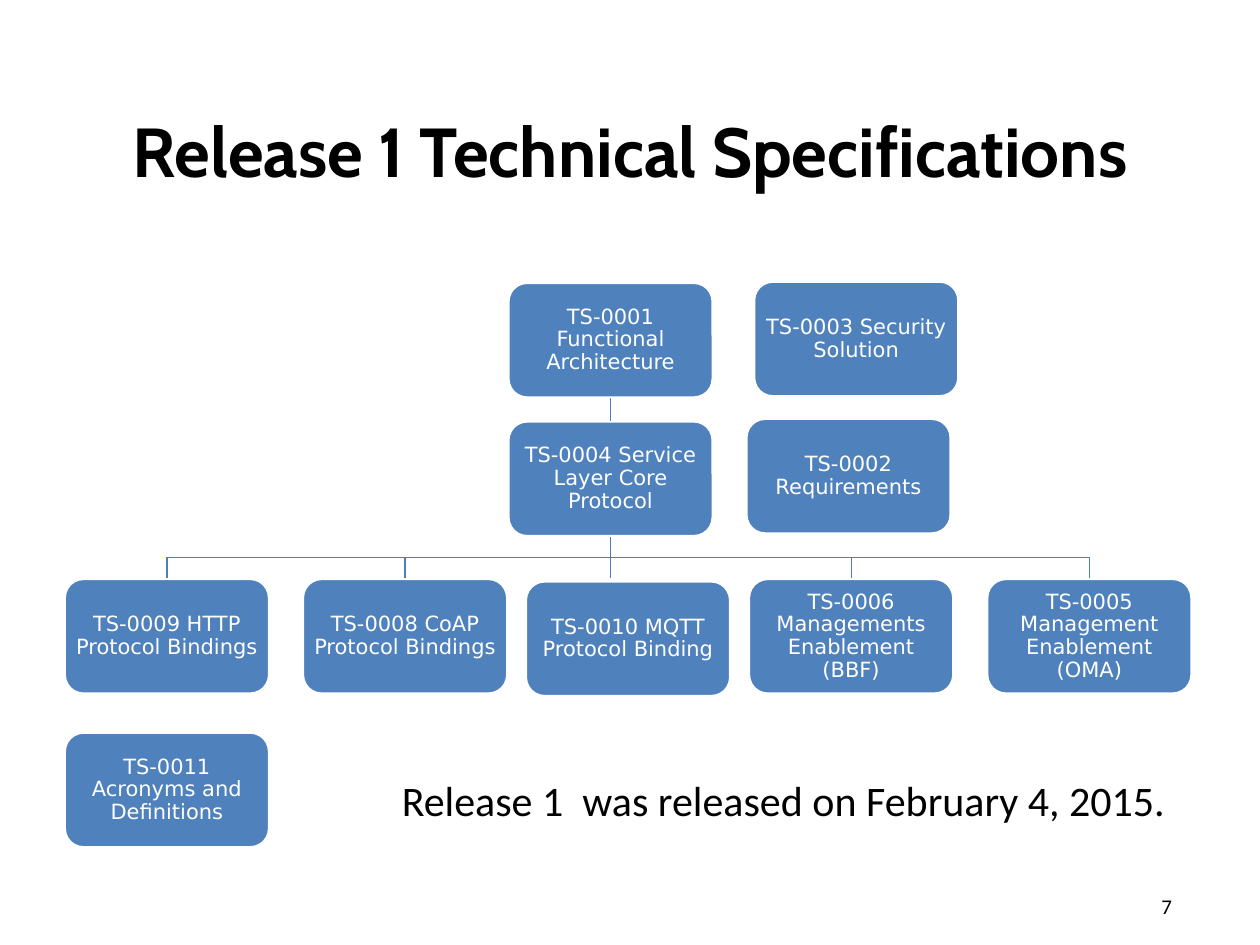
from dataclasses import dataclass

from lxml import etree
from pptx import Presentation
from pptx import util as u
from pptx.dml.color import RGBColor
from pptx.enum import shapes, text
from pptx.oxml import ns

Pt = u.Pt


@dataclass(frozen=True)
class Theme:
    black: RGBColor = RGBColor.from_string("000000")
    white: RGBColor = RGBColor.from_string("FFFFFF")
    box: RGBColor = RGBColor.from_string("4F81BD")
    line: RGBColor = RGBColor.from_string("4B7EBC")
    title_font: str = "Cabin"
    body_font: str = "Calibri"
    box_font: str = "DejaVu Sans"
    title_size: float = 39.6
    note_size: float = 24
    small_size: float = 12


@dataclass(frozen=True)
class Specification:
    label: str
    left: float
    top: float

    @property
    def center(self) -> float:
        return self.left + BOX_WIDTH / 2


THEME = Theme()
BOX_WIDTH, BOX_HEIGHT = 117.4, 66.2
COLUMNS = (36.7, 172.8, 290.2, 427.7, 563.8)
ROWS = (161.3, 240.5, 330.5, 418.3)

ARCHITECTURE = Specification("TS-0001 Functional Architecture", COLUMNS[2], ROWS[0])
CORE = Specification("TS-0004 Service Layer Core Protocol", COLUMNS[2], ROWS[1])
BINDINGS = (
    Specification("TS-0009 HTTP Protocol Bindings", COLUMNS[0], ROWS[2]),
    Specification("TS-0008 CoAP Protocol Bindings", COLUMNS[1], ROWS[2]),
    Specification("TS-0006 Managements Enablement (BBF)", COLUMNS[3], ROWS[2]),
    Specification("TS-0005 Management Enablement (OMA)", COLUMNS[4], ROWS[2]),
)
STANDALONE = (
    Specification("TS-0002 Requirements", 426.2, 239),
    Specification("TS-0003 Security Solution", 430.6, 160.6),
    Specification("TS-0011 Acronyms and Definitions", COLUMNS[0], ROWS[3]),
    Specification("TS-0010 MQTT Protocol Binding", 300.2, 331.9),
)


def apply(target, values: dict) -> None:
    for name, value in values.items():
        setattr(target, name, value)


def write(shape, content: str, font: dict, color: RGBColor, frame: dict, layout: dict) -> None:
    apply(shape.text_frame, frame)
    paragraph = shape.text_frame.paragraphs[0]
    run = paragraph.add_run()
    run.text = content
    apply(paragraph, layout)
    apply(run.font, font)
    run.font.color.rgb = color


def draw_title(slide, content: str) -> None:
    title = slide.shapes.title
    apply(title, dict(left=Pt(36), top=Pt(49), width=Pt(648), height=Pt(73.4)))
    write(title, content,
          dict(name=THEME.title_font, size=Pt(THEME.title_size), bold=True), THEME.black,
          dict(vertical_anchor=text.MSO_ANCHOR.MIDDLE, auto_size=text.MSO_AUTO_SIZE.NONE),
          dict(alignment=text.PP_ALIGN.CENTER))


def draw_box(slide, item: Specification) -> None:
    shape = slide.shapes.add_shape(shapes.MSO_SHAPE.ROUNDED_RECTANGLE, Pt(item.left),
                                   Pt(item.top), Pt(BOX_WIDTH), Pt(BOX_HEIGHT))
    shape.shadow.inherit = False
    shape.fill.solid()
    shape.fill.fore_color.rgb = THEME.box
    shape.line.color.rgb = THEME.white
    shape.line.width = Pt(2)
    margins = {f"margin_{side}": Pt(3.6) for side in ("left", "top", "right", "bottom")}
    write(shape, item.label,
          dict(name=THEME.box_font, size=Pt(THEME.small_size)), THEME.white,
          dict(word_wrap=True, vertical_anchor=text.MSO_ANCHOR.MIDDLE, **margins),
          dict(alignment=text.PP_ALIGN.CENTER, line_spacing=0.9, space_after=Pt(4.2)))


def draw_line(slide, kind, start: tuple[float, float], end: tuple[float, float]):
    connector = slide.shapes.add_connector(kind, *map(Pt, start + end))
    connector.line.color.rgb = THEME.line
    connector.line.width = Pt(0.75)
    properties = connector._element.spPr
    etree.SubElement(properties, ns.qn("a:effectLst"))
    return connector


def draw_branch(slide, child: Specification, parent: Specification) -> None:
    bottom = parent.top + BOX_HEIGHT
    middle_x = (child.center + parent.center) / 2
    middle_y = (child.top + bottom) / 2
    half_width = (child.top - bottom) / 2
    half_height = abs(child.center - parent.center) / 2
    side = 1 if child.center < parent.center else -1
    connector = draw_line(slide, shapes.MSO_CONNECTOR.ELBOW,
                          (middle_x + side * half_width, middle_y + half_height),
                          (middle_x - side * half_width, middle_y - half_height))
    transform = connector._element.spPr.find(ns.qn("a:xfrm"))
    transform.set("rot", str(side * 90 % 360 * 60000))


def draw_text(slide, content: str, size: float, area: tuple[float, ...], wrap: bool) -> None:
    box = slide.shapes.add_textbox(*map(Pt, area))
    write(box, content, dict(name=THEME.body_font, size=Pt(size)), THEME.black,
          dict(word_wrap=wrap), dict(alignment=text.PP_ALIGN.LEFT))


def main() -> None:
    presentation = Presentation()
    apply(presentation, dict(slide_width=Pt(720), slide_height=Pt(540)))
    slide = presentation.slides.add_slide(presentation.slide_layouts[5])
    draw_title(slide, "Release 1 Technical Specifications")
    for item in (ARCHITECTURE, CORE, *BINDINGS, *STANDALONE):
        draw_box(slide, item)
    for child in BINDINGS:
        draw_branch(slide, child, CORE)
    for bottom in (CORE.top, ROWS[2]):
        draw_line(slide, shapes.MSO_CONNECTOR.STRAIGHT,
                  (CORE.center, bottom), (CORE.center, bottom - 13))
    draw_text(slide, "Release 1  was released on February 4, 2015.", THEME.note_size,
              (222.5, 439.2, 455, 36), False)
    draw_text(slide, "7", THEME.small_size, (656.6, 506.9, 46, 28.8), True)
    presentation.save("out.pptx")


if __name__ == "__main__":
    main()
